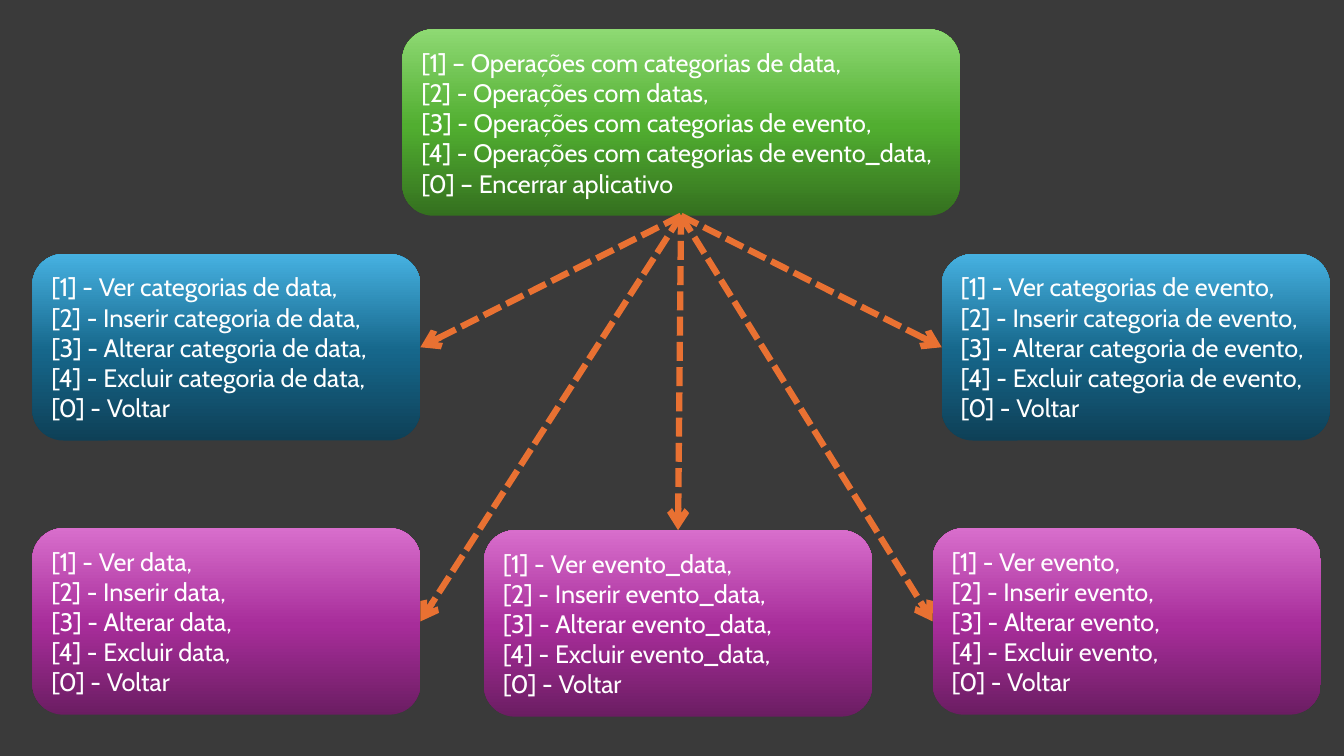
from copy import deepcopy

from lxml.etree import SubElement
from pptx import Presentation
from pptx.dml.color import RGBColor
from pptx.enum.dml import MSO_LINE
from pptx.enum.shapes import MSO_CONNECTOR, MSO_SHAPE
from pptx.enum.text import MSO_ANCHOR, PP_ALIGN
from pptx.oxml.ns import qn
from pptx.util import Inches, Pt

# Content
MAIN_MENU = [
    "[1] – Operações com categorias de data,",
    "[2] - Operações com datas,",
    "[3] - Operações com categorias de evento,",
    "[4] - Operações com categorias de evento_data,",
    "[0] – Encerrar aplicativo",
]
# Listed name, edited name, gradient, left, top, side the arrow reaches
SUBMENUS = [
    ("categorias de data", "categoria de data", "blue", 0.32, 2.52, "right"),
    ("data", "data", "purple", 0.32, 5.24, "right"),
    ("categorias de evento", "categoria de evento", "blue", 9.34, 2.52, "left"),
    ("evento", "evento", "purple", 9.25, 5.24, "left"),
    ("evento_data", "evento_data", "purple", 4.8, 5.26, "top"),
]
ACTIONS = ["Inserir", "Alterar", "Excluir"]

# Layout and theme
MAIN_LEFT, MAIN_TOP, MAIN_WIDTH = 3.99, 0.29, 5.53
MENU_WIDTH, MENU_HEIGHT = 3.85, 1.85
SIDES = {"top": 0, "left": 1, "bottom": 2, "right": 3}
THEME = {
    "background": "3A3A3A",
    "text": "FFFFFF",
    "arrow": "E97132",
    "green": ["34701F", "51AE30", "8ED973"],
    "blue": ["0E4057", "16678B", "46B1E1"],
    "purple": ["6B1D62", "A72D9A", "D86ECC"],
    "stops": [0, 0.48, 1],
    "font": "Cabin",
    "size": Pt(18),
    "arrow_width": Pt(4.5),
}


def rgb(name):
    return RGBColor.from_string(THEME[name])


def submenu_lines(listed, edited):
    lines = [f"[1] - Ver {listed},"]
    lines += [f"[{n}] - {action} {edited}," for n, action in enumerate(ACTIONS, 2)]
    return lines + ["[0] - Voltar"]


def fill_gradient(sp, name):
    fill = sp.fill
    fill.gradient()
    fill.gradient_angle = 90
    stop_list = sp._element.spPr.find(".//" + qn("a:gsLst"))
    stop_list.append(deepcopy(stop_list[-1]))
    for stop, position, color in zip(fill.gradient_stops, THEME["stops"], THEME[name]):
        stop.position = position
        stop.color.rgb = RGBColor.from_string(color)


def add_menu(slide, lines, gradient, left, top, width):
    sp = slide.shapes.add_shape(
        MSO_SHAPE.ROUNDED_RECTANGLE,
        Inches(left), Inches(top), Inches(width), Inches(MENU_HEIGHT))
    sp.shadow.inherit = False
    sp.line.fill.background()
    fill_gradient(sp, gradient)
    tf = sp.text_frame
    tf.word_wrap = True
    tf.vertical_anchor = MSO_ANCHOR.MIDDLE
    for i, line in enumerate(lines):
        p = tf.add_paragraph() if i else tf.paragraphs[0]
        p.alignment = PP_ALIGN.LEFT
        r = p.add_run()
        r.text = line
        r.font.name = THEME["font"]
        r.font.size = THEME["size"]
        r.font.color.rgb = rgb("text")
    return sp


def add_arrow(slide, source, target, side):
    arrow = slide.shapes.add_connector(MSO_CONNECTOR.STRAIGHT, 0, 0, 0, 0)
    arrow.begin_connect(source, SIDES["bottom"])
    arrow.end_connect(target, SIDES[side])
    arrow.line.color.rgb = rgb("arrow")
    arrow.line.width = THEME["arrow_width"]
    arrow.line.dash_style = MSO_LINE.SQUARE_DOT
    SubElement(arrow.line._get_or_add_ln(), qn("a:tailEnd"), type="arrow")
    SubElement(arrow._element.spPr, qn("a:effectLst"))


def main():
    prs = Presentation()
    prs.slide_width, prs.slide_height = Inches(13.33), Inches(7.5)
    slide = prs.slides.add_slide(prs.slide_layouts[6])
    slide.background.fill.solid()
    slide.background.fill.fore_color.rgb = rgb("background")

    # Menus
    targets = []
    for listed, edited, gradient, left, top, side in SUBMENUS:
        lines = submenu_lines(listed, edited)
        submenu = add_menu(slide, lines, gradient, left, top, MENU_WIDTH)
        targets.append((submenu, side))
    main_menu = add_menu(slide, MAIN_MENU, "green", MAIN_LEFT, MAIN_TOP, MAIN_WIDTH)

    # Arrows from the main menu to each submenu
    for submenu, side in targets:
        add_arrow(slide, main_menu, submenu, side)

    prs.save("out.pptx")


if __name__ == "__main__":
    main()
